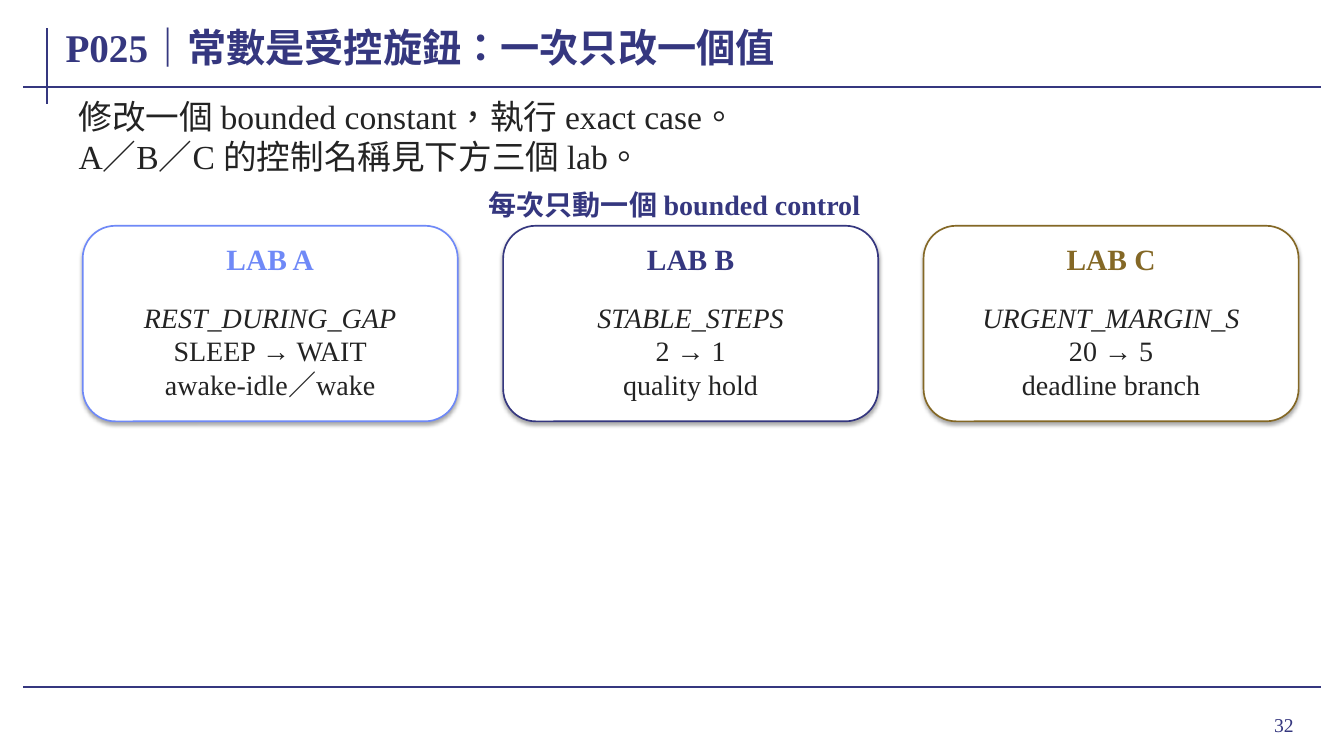
from lxml import etree
from pptx import Presentation
from pptx.dml.color import RGBColor
from pptx.enum.lang import MSO_LANGUAGE_ID
from pptx.enum.shapes import MSO_CONNECTOR, MSO_SHAPE
from pptx.enum.text import MSO_ANCHOR, MSO_AUTO_SIZE, PP_ALIGN
from pptx.oxml.ns import qn
from pptx.util import Inches, Pt

FONT = "Times New Roman"
NAVY, INK, BLUE, GOLD, WHITE = "35377F", "232323", "6F89F7", "846826", "FFFFFF"

LABS = [
    ("LAB A", BLUE, ["REST_DURING_GAP", "SLEEP → WAIT", "awake-idle／wake"]),
    ("LAB B", NAVY, ["STABLE_STEPS", "2 → 1", "quality hold"]),
    ("LAB C", GOLD, ["URGENT_MARGIN_S", "20 → 5", "deadline branch"]),
]


def rgb(value):
    return RGBColor.from_string(value)


def write(shape, lines, size, color=INK, bold=False, italic_first=False,
          align=PP_ALIGN.LEFT, anchor=MSO_ANCHOR.MIDDLE, inset=(0.03, 0.01)):
    """Fill a shape with one paragraph per line; inset is (sides, top and bottom)."""
    frame = shape.text_frame
    frame.word_wrap = True
    frame.auto_size = MSO_AUTO_SIZE.NONE
    frame.vertical_anchor = anchor
    frame.margin_left = frame.margin_right = Inches(inset[0])
    frame.margin_top = frame.margin_bottom = Inches(inset[1])
    for index, line in enumerate(lines):
        paragraph = frame.add_paragraph() if index else frame.paragraphs[0]
        paragraph.alignment = align
        run = paragraph.add_run()
        run.text = line
        font = run.font
        font.name, font.size, font.bold = FONT, Pt(size), bold
        font.italic = italic_first and index == 0
        font.color.rgb = rgb(color)
        font.language_id = MSO_LANGUAGE_ID.TRADITIONAL_CHINESE


def add_text(slide, box, lines, size, **text_format):
    write(slide.shapes.add_textbox(*map(Inches, box)), lines, size, **text_format)


def add_rule(slide, *ends):
    rule = slide.shapes.add_connector(MSO_CONNECTOR.STRAIGHT, *map(Inches, ends))
    rule.line.color.rgb = rgb(NAVY)
    rule.line.width = Pt(1.5)
    etree.SubElement(rule._element.spPr, qn("a:effectLst"))


def add_soft_shadow(shape):
    shape.shadow.inherit = False
    effects = shape._element.spPr.find(qn("a:effectLst"))
    shadow = etree.SubElement(effects, qn("a:outerShdw"), blurRad=str(Pt(3.1)),
                              dist=str(Pt(1.8)), dir="5400000", rotWithShape="0")
    black = etree.SubElement(shadow, qn("a:srgbClr"), val="000000")
    etree.SubElement(black, qn("a:alpha"), val="35000")


def add_frame(slide, left, top, width, height):
    """Draw the ruled page frame and the page number."""
    right, bottom = left + width, top + height
    add_rule(slide, left + 0.24, top - 0.58, left + 0.24, top + 0.17)
    for y in (top, bottom):
        add_rule(slide, left, y, right, y)
    add_text(slide, (right - 1.14, bottom + 0.11, 0.97, 0.52), ["32"], 14,
             color=NAVY, align=PP_ALIGN.RIGHT, inset=(0.1, 0.05))


def add_title(slide, left, top, width, height):
    title = slide.shapes.title
    title.left, title.top = Inches(left), Inches(top)
    title.width, title.height = Inches(width), Inches(height)
    write(title, ["P025｜常數是受控旋鈕：一次只改一個值"], 28, color=NAVY, bold=True)


def add_intro(slide, left, top, width, height):
    add_text(slide, (left, top, width, height),
             ["修改一個 bounded constant，執行 exact case。",
              "A／B／C 的控制名稱見下方三個 lab。"],
             24, anchor=MSO_ANCHOR.TOP, inset=(0.06, 0.02))


def add_lab_card(slide, left, top, width, height, name, accent, details):
    card = slide.shapes.add_shape(MSO_SHAPE.ROUNDED_RECTANGLE,
                                  *map(Inches, (left, top, width, height)))
    card.fill.solid()
    card.fill.fore_color.rgb = rgb(WHITE)
    card.line.color.rgb = rgb(accent)
    card.line.width = Pt(1.2)
    add_soft_shadow(card)
    add_text(slide, (left + 0.14, top + 0.16, width - 0.28, 0.34), [name], 21,
             color=accent, bold=True, align=PP_ALIGN.CENTER, inset=(0.01, 0))
    add_text(slide, (left + 0.18, top + 0.66, width - 0.36, height - 0.78), details,
             20, italic_first=True, align=PP_ALIGN.CENTER)


def add_labs(slide, left, top, width, height, gap=0.45):
    """Place the caption and a row of equal lab cards."""
    add_text(slide, (left + 0.02, top, 11.7, 0.32), ["每次只動一個 bounded control"], 20,
             color=NAVY, bold=True, align=PP_ALIGN.CENTER, inset=(0.02, 0))
    card_width = (width - gap * (len(LABS) - 1)) / len(LABS)
    for index, lab in enumerate(LABS):
        add_lab_card(slide, left + index * (card_width + gap), top + 0.37,
                     card_width, height - 0.37, *lab)


def main():
    deck = Presentation()
    deck.slide_width, deck.slide_height = Inches(13.33), Inches(7.5)
    slide = deck.slides.add_slide(deck.slide_layouts[5])
    add_frame(slide, 0.23, 0.86, 12.87, 5.96)
    add_title(slide, 0.62, 0.15, 12.49, 0.62)
    add_intro(slide, 0.72, 0.93, 11.9, 0.84)
    add_labs(slide, 0.82, 1.87, 12.06, 2.31)
    deck.save("out.pptx")


if __name__ == "__main__":
    main()
